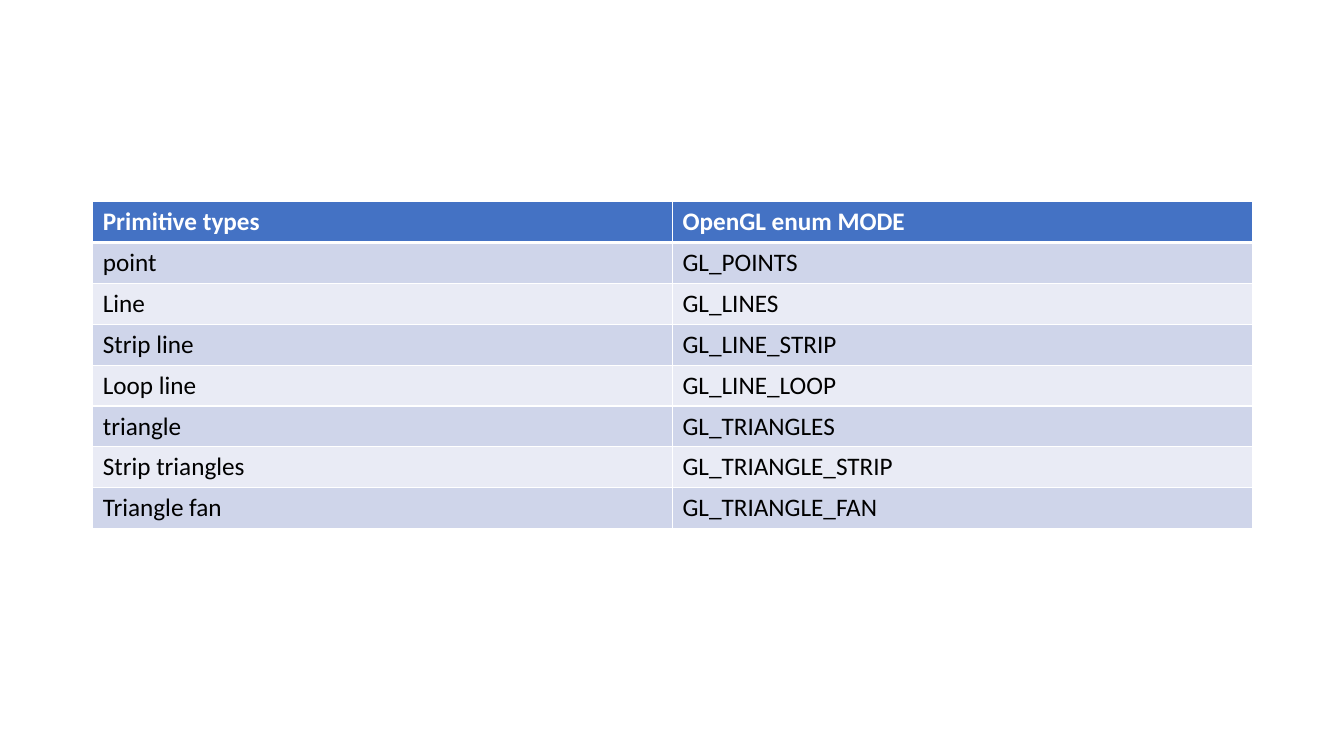
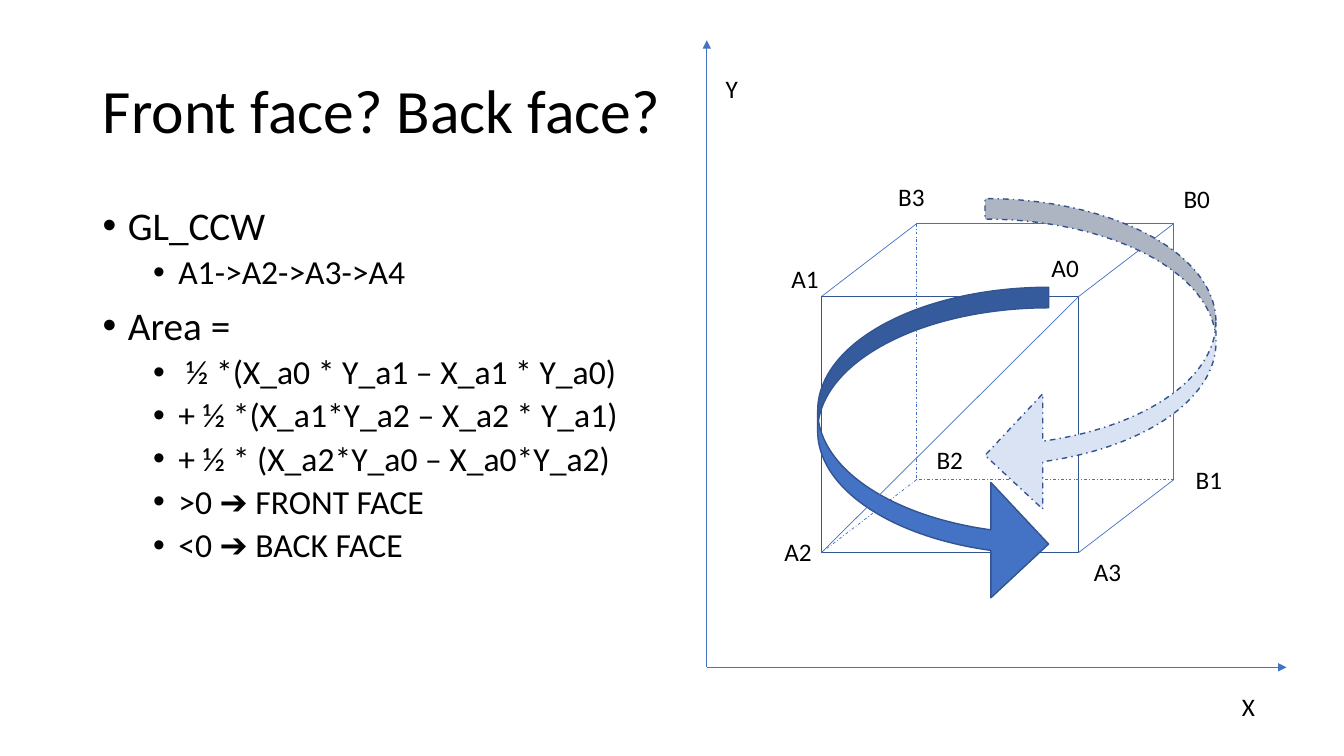
from pptx import Presentation
from pptx.dml.color import RGBColor
from pptx.enum.dml import MSO_LINE
from pptx.enum.shapes import MSO_CONNECTOR, MSO_SHAPE
from pptx.enum.text import MSO_ANCHOR, PP_ALIGN
from pptx.oxml import parse_xml
from pptx.oxml.ns import nsdecls, qn
from pptx.util import Inches, Pt
from lxml.etree import SubElement

BLUE, DARK_BLUE, PALE_BLUE = "4472C4", "325491", "DAE3F3"
BANDS = ["E9EBF5", "CFD5EA"]
BLACK, WHITE = "000000", "FFFFFF"


def write(p, text, size=18, color=BLACK, bold=False):
    r = p.add_run()
    r.text = text
    r.font.color.rgb = RGBColor.from_string(color)
    for name, value in {"name": "Calibri", "size": Pt(size), "bold": bold}.items():
        setattr(r.font, name, value)


def draw_line(start, end, dashed=False, arrow=False):
    c = s.shapes.add_connector(MSO_CONNECTOR.STRAIGHT, *map(Inches, start + end))
    c.line.color.rgb = RGBColor.from_string(BLUE)
    c.line.width = Pt(0.5)
    if dashed:
        c.line.dash_style = MSO_LINE.DASH_DOT
    if arrow:
        SubElement(c.line._get_or_add_ln(), qn("a:tailEnd"), type="triangle")
    SubElement(c._element.spPr, qn("a:effectLst"))


prs = Presentation()
prs.slide_width, prs.slide_height = Inches(13.33), Inches(7.5)

s = prs.slides.add_slide(prs.slide_layouts[6])
rows = [
    ("Primitive types", "OpenGL enum MODE"),
    ("point", "GL_POINTS"),
    ("Line", "GL_LINES"),
    ("Strip line", "GL_LINE_STRIP"),
    ("Loop line", "GL_LINE_LOOP"),
    ("triangle", "GL_TRIANGLES"),
    ("Strip triangles", "GL_TRIANGLE_STRIP"),
    ("Triangle fan", "GL_TRIANGLE_FAN"),
]
table = s.shapes.add_table(len(rows), 2, Inches(0.92), Inches(2), Inches(11.5), Inches(3.24)).table
for i, row in enumerate(rows):
    header = i == 0
    for j, text in enumerate(row):
        cell = table.cell(i, j)
        write(cell.text_frame.paragraphs[0], text, color=WHITE if header else BLACK, bold=header)
        for side in "LRTB":
            thick = (header and side == "B") or (i == 1 and side == "T")
            cell._tc.get_or_add_tcPr().append(parse_xml(
                f'<a:ln{side} {nsdecls("a")} w="{Pt(3 if thick else 1)}"><a:solidFill>'
                f'<a:srgbClr val="{WHITE}"/></a:solidFill></a:ln{side}>'))
        cell.fill.solid()
        cell.fill.fore_color.rgb = RGBColor.from_string(BLUE if header else BANDS[i % 2])

s = prs.slides.add_slide(prs.slide_layouts[5])
title = s.shapes.title
title.left, title.top, title.width, title.height = map(Inches, (0.92, 0.4, 11.5, 1.45))
title.text_frame.vertical_anchor = MSO_ANCHOR.MIDDLE
p = title.text_frame.paragraphs[0]
p.alignment, p.line_spacing = PP_ALIGN.LEFT, 0.9
write(p, "Front face? Back face?", 44)

bullets = [
    (0, "GL_CCW"),
    (1, "A1->A2->A3->A4"),
    (0, "Area ="),
    (1, " ½ *(X_a0 * Y_a1 – X_a1 * Y_a0)"),
    (1, "+ ½ *(X_a1*Y_a2 – X_a2 * Y_a1)"),
    (1, "+ ½ * (X_a2*Y_a0 – X_a0*Y_a2)"),
    (1, ">0 ➔ FRONT FACE"),
    (1, "<0 ➔ BACK FACE"),
]
tf = s.shapes.add_textbox(*map(Inches, (0.92, 2, 6.19, 4.62))).text_frame
tf.word_wrap = True
for i, (level, text) in enumerate(bullets):
    p = tf.add_paragraph() if i else tf.paragraphs[0]
    p.level, p.line_spacing, p.space_before = level, 0.9, Pt(5 if level else 10)
    write(p, text, 24 if level else 28)
    pPr = p._p.get_or_add_pPr()
    pPr.set("marL", str(Inches(0.25 + 0.5 * level)))
    pPr.set("indent", str(Inches(-0.25)))
    SubElement(pPr, qn("a:buFont"), typeface="Arial")
    SubElement(pPr, qn("a:buChar"), char="•")

left, top, width, height = 8.15, 2.94, 2.55, 2.54
depth_x, depth_y = 0.94, -0.72
corners = {}
for face, dx, dy in [("A", 0, 0), ("B", depth_x, depth_y)]:
    x, y = left + dx, top + dy
    for i, corner in enumerate([(x + width, y), (x, y), (x, y + height), (x + width, y + height)]):
        corners[face + str(i)] = corner
back = {"B0": corners["B0"], "B1": corners["B3"], "B2": corners["B2"], "B3": corners["B1"]}
corners.update(back)

front = s.shapes.add_shape(MSO_SHAPE.RECTANGLE, *map(Inches, (left, top, width, height)))
front.shadow.inherit = False
front.fill.background()
front.line.color.rgb = RGBColor.from_string(DARK_BLUE)
front.line.width = Pt(1)
for a, b, dashed in [
    ("B3", "A1", False), ("B0", "A0", False), ("B1", "A3", False), ("B2", "A2", True),
    ("B3", "B2", True), ("B1", "B2", True), ("B1", "B0", False), ("B3", "B0", False),
]:
    draw_line(corners[a], corners[b], dashed)

for text, x, y in [
    ("A1", 7.75, 2.56), ("A2", 7.68, 5.27), ("A3", 10.75, 5.47), ("A0", 10.33, 2.45),
    ("B3", 8.81, 1.75), ("B0", 11.64, 1.77), ("B1", 11.76, 4.56), ("B2", 9.19, 4.36),
    ("X", 12.22, 6.81), ("Y", 7.1, 0.68),
]:
    box_width = 0.48 if len(text) == 2 else 0.33
    tf = s.shapes.add_textbox(*map(Inches, (x, y, box_width, 0.4))).text_frame
    tf.word_wrap = False
    write(tf.paragraphs[0], text)

for x, y, color, is_back in [(8.11, 2.85, BLUE, False), (9.77, 1.97, PALE_BLUE, True)]:
    turn = s.shapes.add_shape(MSO_SHAPE.CURVED_RIGHT_ARROW, *map(Inches, (x, y, 2.29, 3.12)))
    turn.shadow.inherit = False
    for i, value in enumerate((0.089, 0.5, 0.25)):
        turn.adjustments[i] = value
    turn.fill.solid()
    turn.fill.fore_color.rgb = RGBColor.from_string(color)
    turn.line.color.rgb = RGBColor.from_string(DARK_BLUE)
    turn.line.width = Pt(1)
    if is_back:
        turn.line.dash_style = MSO_LINE.DASH_DOT
        turn._element.spPr.find(qn("a:xfrm")).set("flipH", "1")

origin = (7.01, 6.62)
for end in [(12.76, 6.62), (7.01, 0.4)]:
    draw_line(origin, end, arrow=True)
draw_line(corners["A0"], corners["A2"])

prs.save("out.pptx")
